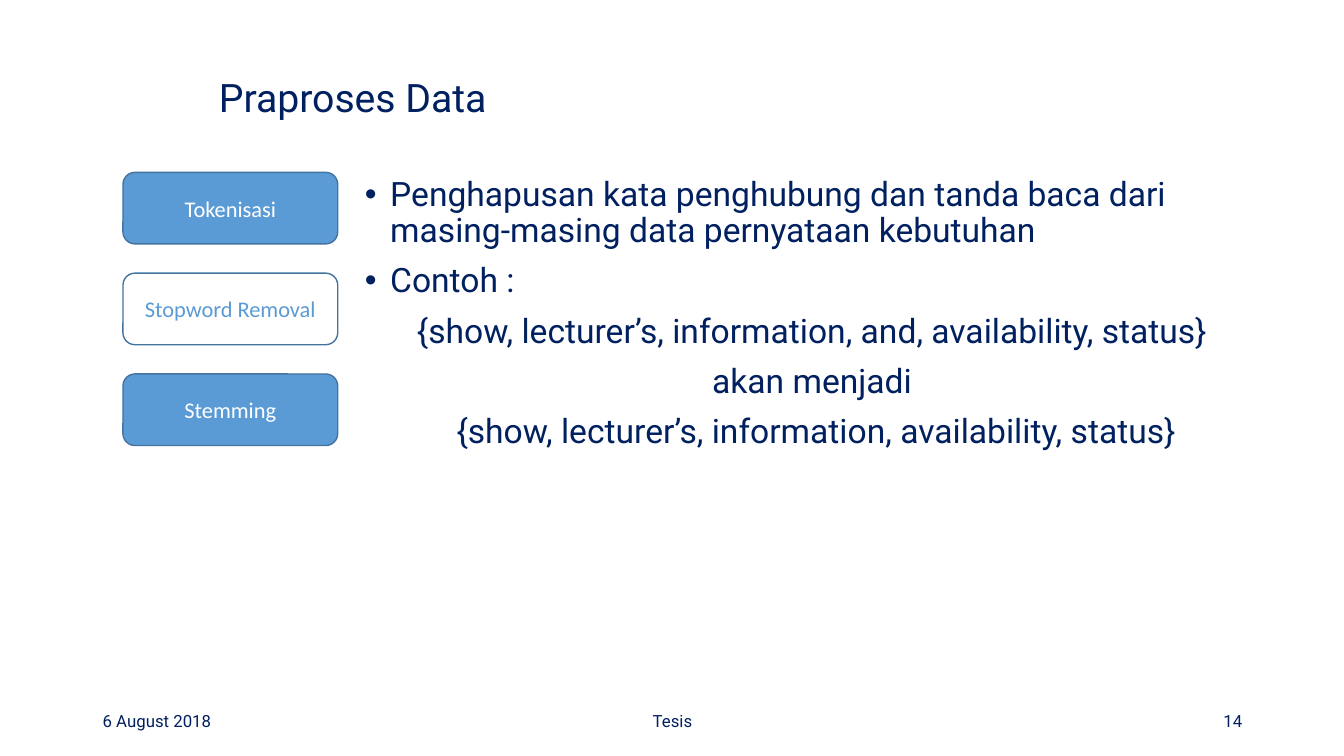
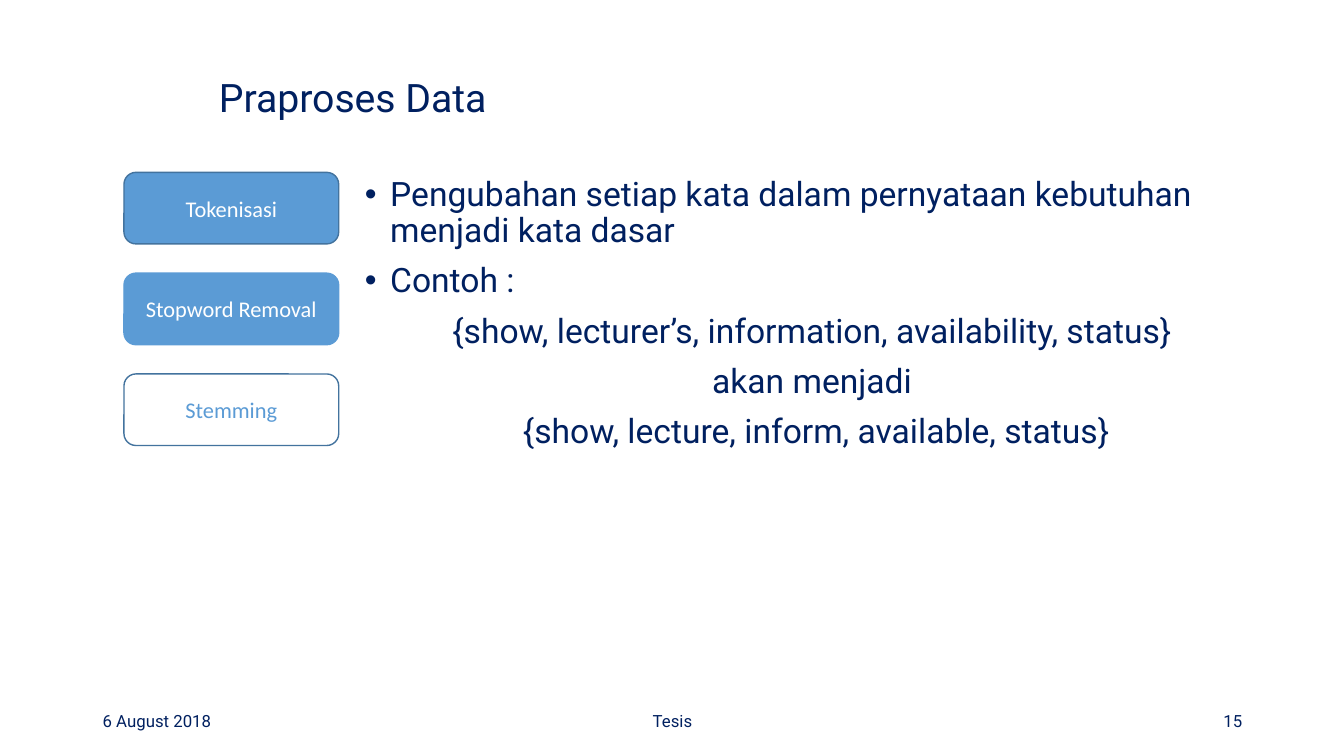
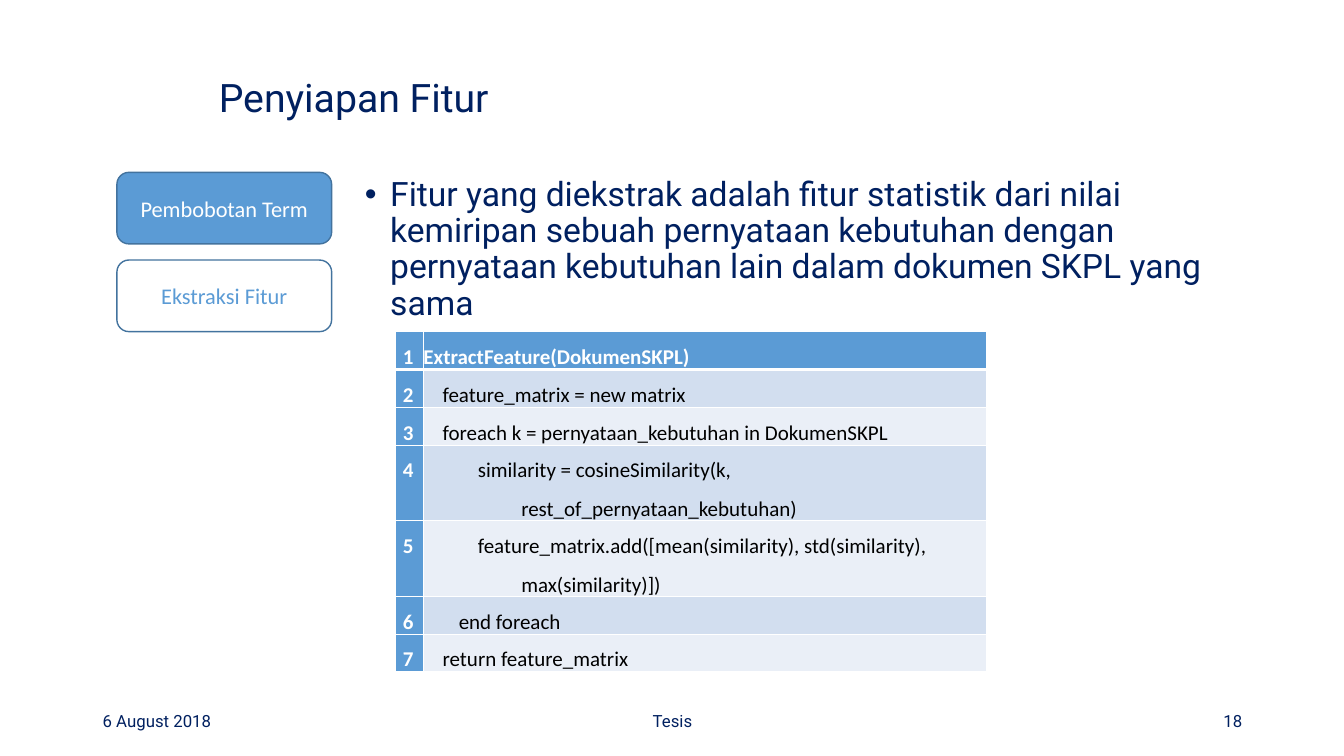
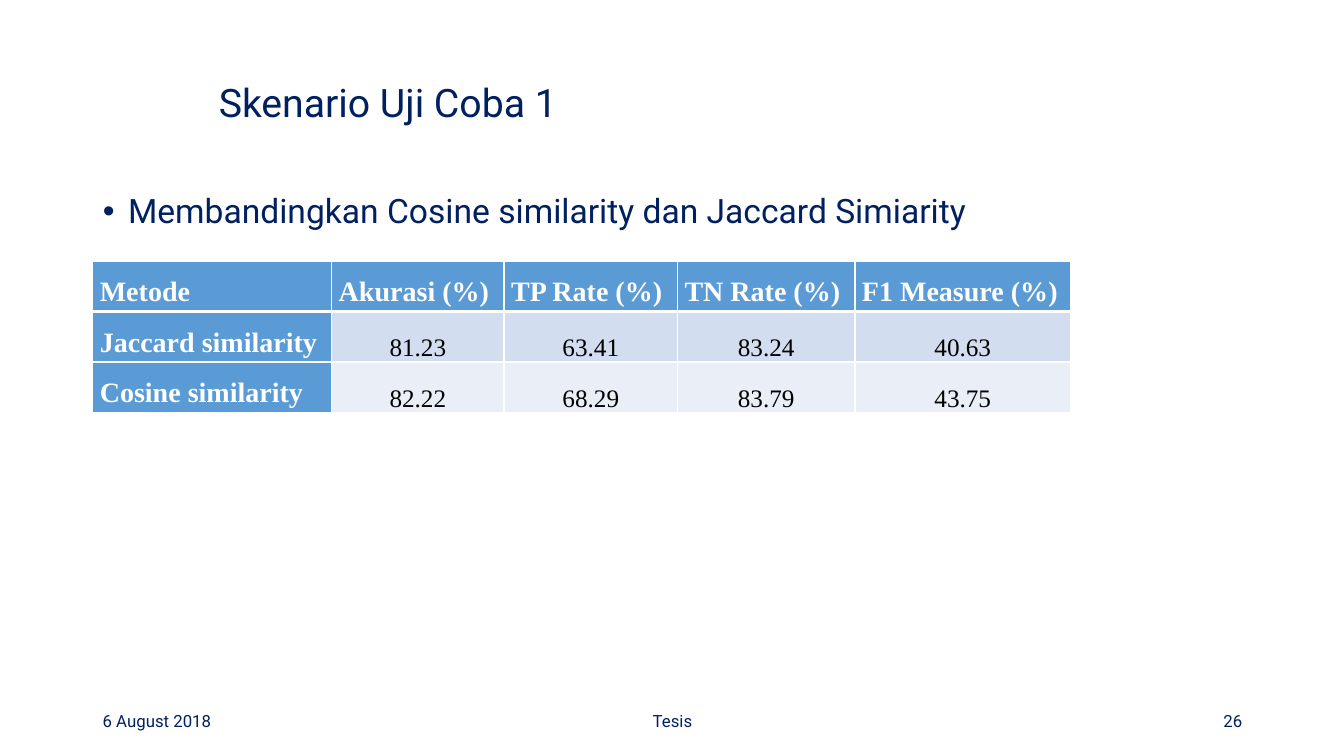
from pptx import Presentation
from pptx.dml.color import RGBColor
from pptx.enum.shapes import MSO_SHAPE
from pptx.enum.text import MSO_ANCHOR, MSO_AUTO_SIZE, PP_ALIGN
from pptx.oxml.ns import qn
from pptx.util import Inches, Pt
from lxml.etree import SubElement

NAVY = RGBColor(0x00, 0x20, 0x60)
BLUE = RGBColor(0x5B, 0x9B, 0xD5)
STEEL = RGBColor(0x43, 0x73, 0x9E)
PALE = RGBColor(0xD2, 0xDE, 0xEF)
PALER = RGBColor(0xEA, 0xEF, 0xF7)
WHITE = RGBColor(0xFF, 0xFF, 0xFF)
BLACK = RGBColor(0x00, 0x00, 0x00)

# Text formats
TITLE = {"name": "Roboto", "size": Pt(28), "bold": False}
BODY = {"name": "Roboto", "size": Pt(24), "bold": False}
FOOTER = {"name": "Roboto", "size": Pt(12), "bold": False}
BUTTON = {"name": "Calibri", "size": Pt(16), "bold": False}
CODE = {"name": "Calibri", "size": Pt(15), "bold": False}
CODE_HEAD = {**CODE, "bold": True}
RESULT = {"name": "Times New Roman", "size": Pt(18), "bold": False}
RESULT_HEAD = {**RESULT, "size": Pt(20), "bold": True}

# Button styles: fill, outline, text
FILLED = (BLUE, STEEL, WHITE)
CURRENT = (WHITE, STEEL, BLUE)
PLAIN = (BLUE, BLUE, WHITE)


def write(para, text, style, color, align=PP_ALIGN.LEFT, spacing=1.0, before=0,
          left=0, first=0):
    para.alignment = align
    para.line_spacing = spacing
    para.space_before = Pt(before)
    properties = para._p.get_or_add_pPr()
    properties.set("marL", str(Inches(left)))
    properties.set("indent", str(Inches(first)))
    span = para.add_run()
    span.text = text
    for name, value in style.items():
        setattr(span.font, name, value)
    span.font.color.rgb = color


def style_cell(cell, row, fill, margins, anchor=MSO_ANCHOR.TOP):
    cell.margin_left, cell.margin_right = [Inches(margin) for margin in margins]
    cell.margin_top = cell.margin_bottom = 0
    cell.vertical_anchor = anchor
    thick_side = {0: "a:lnB", 1: "a:lnT"}.get(row)
    for side in ("a:lnL", "a:lnR", "a:lnT", "a:lnB"):
        width = Pt(3) if side == thick_side else Pt(1)
        border = SubElement(cell._tc.get_or_add_tcPr(), qn(side), w=str(width))
        paint = SubElement(border, qn("a:solidFill"))
        SubElement(paint, qn("a:srgbClr"), val=str(WHITE))
    cell.fill.solid()
    cell.fill.fore_color.rgb = fill


deck = Presentation()
deck.slide_width, deck.slide_height = Inches(13.33), Inches(7.5)
layout = deck.slide_layouts[1]

pages = [
    {"number": "14", "title": "Praproses Data", "title_top": 0.53,
     "body": (3.52, 1.71, 9.15, 4.99),
     "bullets": ["Penghapusan kata penghubung dan tanda baca dari masing-masing "
                 "data pernyataan kebutuhan", "Contoh : "],
     "example": ["{show, lecturer’s, information, and, availability, status} ",
                 "akan menjadi ",
                 "{show, lecturer’s, information, availability, status}"],
     "button_left": 1.22, "button_step": 1.0,
     "buttons": [("Tokenisasi", FILLED), ("Stopword Removal", CURRENT),
                 ("Stemming", FILLED)]},
    {"number": "15", "title": "Praproses Data", "title_top": 0.53,
     "body": (3.52, 1.71, 9.15, 4.99),
     "bullets": ["Pengubahan setiap kata dalam pernyataan kebutuhan menjadi "
                 "kata dasar", "Contoh : "],
     "example": ["{show, lecturer’s, information, availability, status} ",
                 "akan menjadi ",
                 "{show, lecture, inform, available, status}"],
     "button_left": 1.23, "button_step": 1.0,
     "buttons": [("Tokenisasi", FILLED), ("Stopword Removal", PLAIN),
                 ("Stemming", CURRENT)]},
    {"number": "18", "title": "Penyiapan Fitur", "title_top": 0.53,
     "body": (3.52, 1.71, 9.15, 1.58),
     "bullets": ["Fitur yang diekstrak adalah fitur statistik dari nilai kemiripan "
                 "sebuah pernyataan kebutuhan dengan pernyataan kebutuhan lain "
                 "dalam dokumen SKPL yang sama"],
     "example": [], "button_left": 1.16, "button_step": 0.87,
     "buttons": [("Pembobotan Term", FILLED), ("Ekstraksi Fitur", CURRENT)]},
    {"number": "26", "title": "Skenario Uji Coba 1", "title_top": 0.57,
     "body": (0.92, 1.88, 12.37, 5.37),
     "bullets": ["Membandingkan Cosine similarity dan Jaccard Simiarity"],
     "example": [], "buttons": []},
]

for content in pages:
    page = deck.slides.add_slide(layout)

    # Title and body
    title, body = page.shapes.title, page.placeholders[1]
    places = [(title, (2.07, content["title_top"], 12, 0.93), MSO_ANCHOR.MIDDLE),
              (body, content["body"], MSO_ANCHOR.TOP)]
    for holder, place, anchor in places:
        holder.left, holder.top, holder.width, holder.height = map(Inches, place)
        holder.text_frame.vertical_anchor = anchor
        holder.text_frame.auto_size = MSO_AUTO_SIZE.NONE
    write(title.text_frame.paragraphs[0], content["title"], TITLE, NAVY, spacing=0.9)

    frame = body.text_frame
    for index, text in enumerate(content["bullets"]):
        para = frame.add_paragraph() if index else frame.paragraphs[0]
        write(para, text, BODY, NAVY, spacing=0.9, before=10, left=0.25, first=-0.25)
    for text in content["example"]:
        para = frame.add_paragraph()
        write(para, text, BODY, NAVY, PP_ALIGN.CENTER, spacing=0.9, before=10)
        SubElement(para._p.get_or_add_pPr(), qn("a:buNone"))

    # Footer
    for text, left, width, align in [("6 August 2018", 0.92, 3, PP_ALIGN.LEFT),
                                     ("Tesis", 4.42, 4.5, PP_ALIGN.CENTER),
                                     (content["number"], 9.42, 3, PP_ALIGN.RIGHT)]:
        box = page.shapes.add_textbox(Inches(left), Inches(6.95), Inches(width), Inches(0.4))
        box.text_frame.word_wrap = True
        box.text_frame.vertical_anchor = MSO_ANCHOR.MIDDLE
        write(box.text_frame.paragraphs[0], text, FOOTER, NAVY, align)

    # Step buttons
    for index, (label, (fill, outline, color)) in enumerate(content["buttons"]):
        button = page.shapes.add_shape(
            MSO_SHAPE.ROUNDED_RECTANGLE, Inches(content["button_left"]),
            Inches(1.71 + index * content["button_step"]), Inches(2.13), Inches(0.71))
        button.shadow.inherit = False
        button.fill.solid()
        button.fill.fore_color.rgb = fill
        button.line.color.rgb = outline
        button.line.width = Pt(1)
        button.text_frame.vertical_anchor = MSO_ANCHOR.MIDDLE
        write(button.text_frame.paragraphs[0], label, BUTTON, color, PP_ALIGN.CENTER)

# Pseudocode table: text, left margin, first-line indent
code_lines = [
    ("ExtractFeature(DokumenSKPL)", 0, 0),
    ("feature_matrix = new matrix", 0.19, 0),
    ("foreach k = pernyataan_kebutuhan in DokumenSKPL", 0.19, 0),
    ("similarity = cosineSimilarity(k, rest_of_pernyataan_kebutuhan)", 0.97, -0.43),
    ("feature_matrix.add([mean(similarity), std(similarity), max(similarity)])", 0.97, -0.43),
    ("end foreach", 0.35, 0),
    ("return feature_matrix", 0.19, 0),
]
code_table = deck.slides[2].shapes.add_table(
    len(code_lines), 2, Inches(3.92), Inches(3.29), Inches(5.87), Inches(1.54)).table
code_table.columns[0].width, code_table.columns[1].width = Inches(0.28), Inches(5.59)
for row, (text, left, first) in enumerate(code_lines):
    number_cell, code_cell = code_table.cell(row, 0), code_table.cell(row, 1)
    style_cell(number_cell, row, BLUE, (0, 0.1))
    write(number_cell.text_frame.paragraphs[0], str(row + 1), CODE_HEAD, WHITE,
          PP_ALIGN.RIGHT, spacing=1.5)
    if row == 0:
        fill, style, color = BLUE, CODE_HEAD, WHITE
    else:
        fill, style, color = PALE if row % 2 else PALER, CODE, BLACK
    style_cell(code_cell, row, fill, (0, 0))
    write(code_cell.text_frame.paragraphs[0], text, style, color,
          spacing=1.5, left=left, first=first)

# Results table
results = [
    ["Metode", "Akurasi (%)", "TP Rate (%)", "TN Rate (%)", "F1 Measure (%)"],
    ["Jaccard similarity", "81.23", "63.41", "83.24", "40.63"],
    ["Cosine similarity", "82.22", "68.29", "83.79", "43.75"],
]
result_table = deck.slides[3].shapes.add_table(
    3, 5, Inches(0.92), Inches(2.59), Inches(9.7), Inches(1.32)).table
for column, width in zip(result_table.columns, [2.37, 1.71, 1.72, 1.76, 2.14]):
    column.width = Inches(width)
for row, values in enumerate(results):
    for column, text in enumerate(values):
        cell = result_table.cell(row, column)
        if row == 0 or column == 0:
            style_cell(cell, row, BLUE, (0.07, 0.07))
            write(cell.text_frame.paragraphs[0], text, RESULT_HEAD, WHITE,
                  PP_ALIGN.JUSTIFY, spacing=1.5)
        else:
            style_cell(cell, row, PALE if row % 2 else PALER, (0.07, 0.07), MSO_ANCHOR.BOTTOM)
            write(cell.text_frame.paragraphs[0], text, RESULT, BLACK,
                  PP_ALIGN.CENTER, spacing=1.5)

deck.save("out.pptx")
